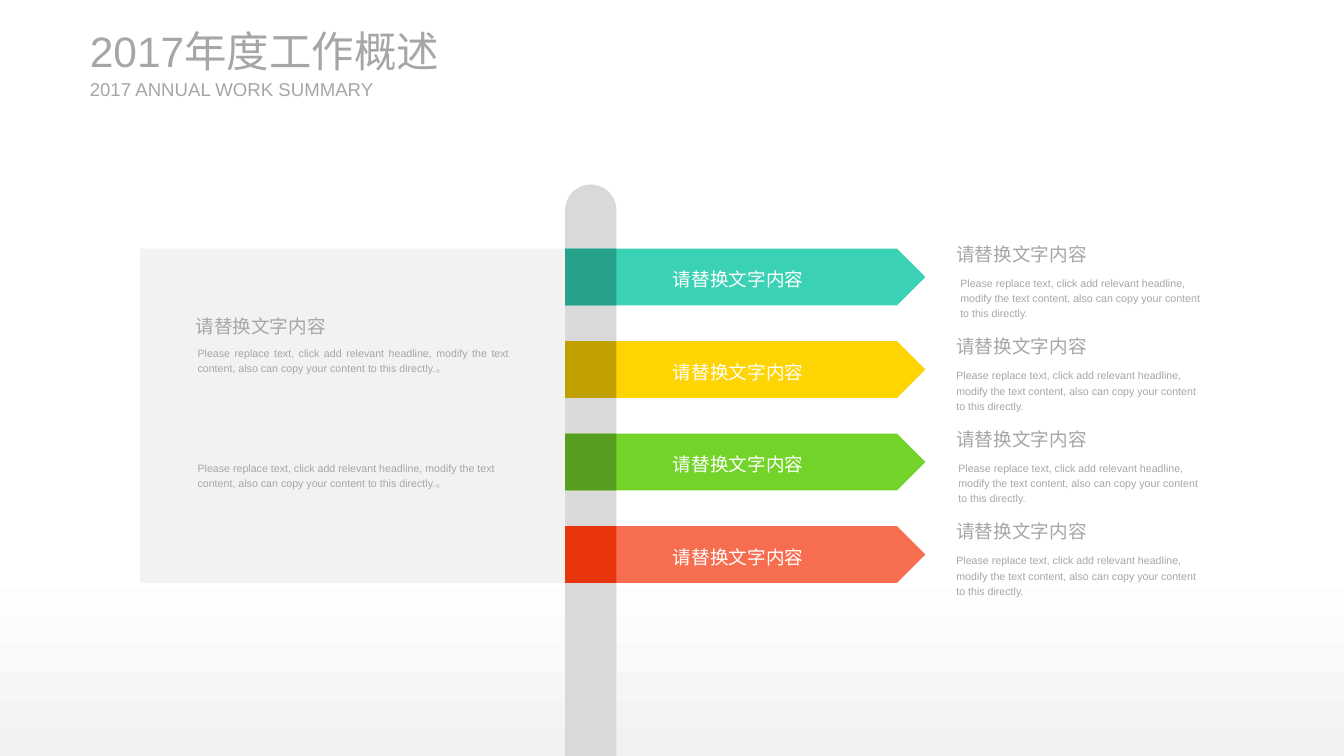
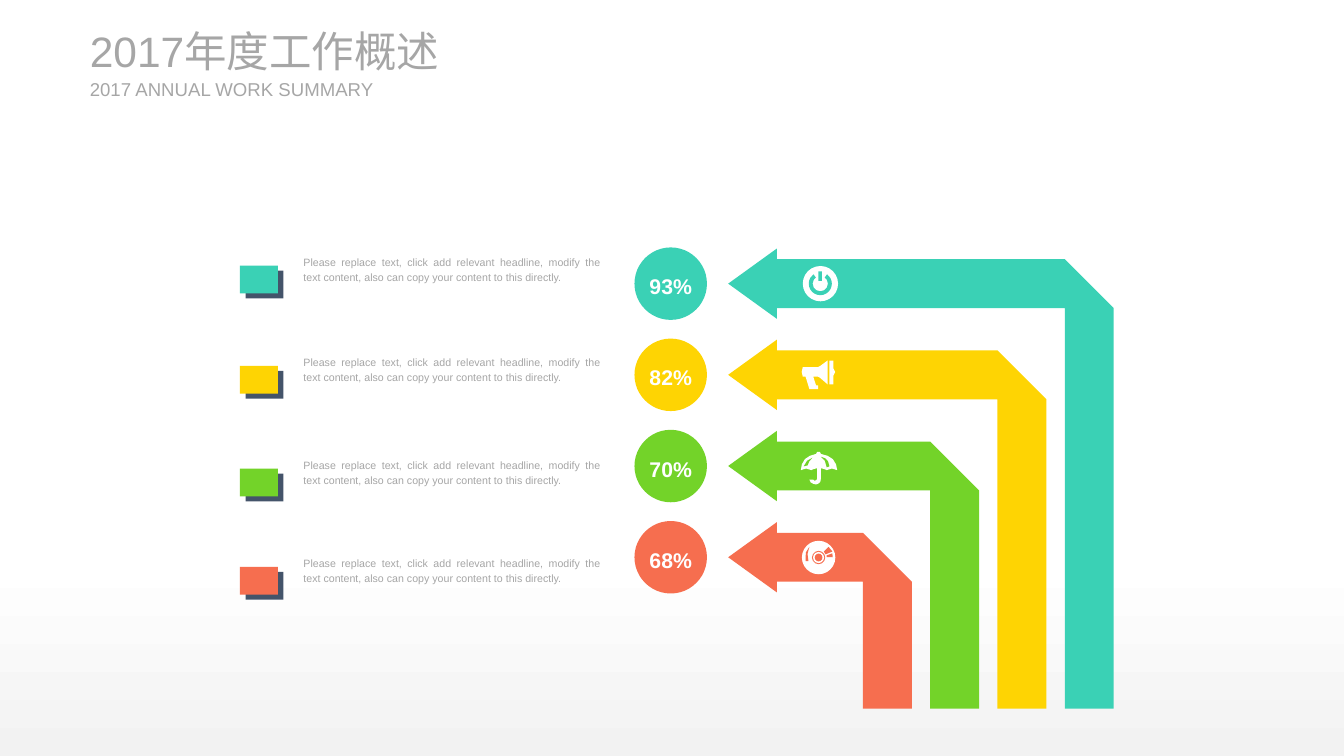
from dataclasses import dataclass

from pptx import Presentation
from pptx.dml.color import RGBColor
from pptx.enum.shapes import MSO_SHAPE as Kind
from pptx.enum.text import MSO_ANCHOR as Anchor, MSO_AUTO_SIZE as Auto, PP_ALIGN as Align
from pptx.util import Pt


@dataclass(frozen=True)
class Theme:
    font: str = "Arial"
    white: str = "FFFFFF"
    gray: str = "A6A6A6"
    pale: str = "F2F2F2"
    pole: str = "D9D9D9"
    navy: str = "44546A"
    hues: tuple = ("3AD1B5", "FED403", "73D329", "F66E4F")
    darks: tuple = ("26A28B", "C0A001", "569E1F", "E8350C")
    title: int = 32
    value: int = 16
    head: int = 14
    body: int = 8


look = Theme()


def paint(shape, fill):
    shape.shadow.inherit = False
    shape.fill.solid()
    shape.fill.fore_color.rgb = RGBColor.from_string(fill)
    shape.line.fill.background()
    return shape


def write(shape, text, size, color=look.gray, align=Align.LEFT, bold=False,
          lead=1.2, anchor=Anchor.TOP, inset=None, wrap=True):
    """Put one formatted paragraph in a shape; inset replaces all four margins."""
    frame = shape.text_frame
    frame.text = text
    frame.word_wrap = wrap
    frame.auto_size = Auto.NONE
    frame.vertical_anchor = anchor
    if inset is not None:
        frame.margin_left = frame.margin_right = Pt(inset)
        frame.margin_top = frame.margin_bottom = Pt(inset)
    para = frame.paragraphs[0]
    para.alignment = align
    para.line_spacing = lead
    font = para.runs[0].font
    font.name, font.size, font.bold = look.font, Pt(size), bold
    font.color.rgb = RGBColor.from_string(color)


HEAD = "请替换文字内容"
BODY = ("Please replace text, click add relevant headline, modify the text content, "
        "also can copy your content to this directly.")

# Shared background and titles
deck = Presentation()
deck.slide_width, deck.slide_height = Pt(1012.5), Pt(569.5)
back = deck.slide_master.background.fill
back.gradient()
back.gradient_angle = 90
for stop, color, place in zip(back.gradient_stops, (look.pale, look.white), (0, 0.26)):
    stop.color.rgb = RGBColor.from_string(color)
    stop.position = place

for _ in range(2):
    slide = deck.slides.add_slide(deck.slide_layouts[5])
    title = slide.shapes.title
    title.left, title.top, title.width, title.height = map(Pt, (67.7, 18.7, 311, 38.9))
    write(title, "2017年度工作概述", look.title, lead=1, anchor=Anchor.MIDDLE, inset=0)
    sub = slide.shapes.add_textbox(*map(Pt, (67.7, 58.3, 221, 17.3)))
    write(sub, "2017 ANNUAL WORK SUMMARY", look.head, lead=1, anchor=Anchor.MIDDLE, inset=0)

# Signpost slide
shapes = deck.slides[0].shapes
left, top, high, wide, step = 425.8, 187.3, 42.8, 38.6, 69.7
pole = paint(shapes.add_shape(Kind.ROUND_2_SAME_RECTANGLE,
                              *map(Pt, (left, 139, wide, 430.5))), look.pole)
pole.adjustments[0] = 0.5
paint(shapes.add_shape(Kind.RECTANGLE, *map(Pt, (105.6, top, left - 105.6, 252))), look.pale)

for row, (hue, dark, shift) in enumerate(zip(look.hues, look.darks, (3, 0, 1.5, 0))):
    y = top + row * step
    sign = paint(shapes.add_shape(Kind.PENTAGON, *map(Pt, (left, y, 271.4, high))), hue)
    write(sign, HEAD, look.head, look.white, Align.CENTER, anchor=Anchor.MIDDLE)
    paint(shapes.add_shape(Kind.RECTANGLE, *map(Pt, (left, y, wide, high))), dark)
    head = shapes.add_textbox(*map(Pt, (713.4, y - 11.5, 117, 26)))
    write(head, HEAD, look.head, wrap=False)
    note = shapes.add_textbox(*map(Pt, (713.4 + shift, y + 15.8, 196.6, 41)))
    write(note, BODY, look.body)

head = shapes.add_textbox(*map(Pt, (140.2, 230.2, 121, 26)))
write(head, HEAD, look.head)
for y, align in ((255.8, Align.JUSTIFY), (342.5, Align.LEFT)):
    note = shapes.add_textbox(*map(Pt, (141.8, y, 249.1, 29.5)))
    write(note, BODY + "。", look.body, align=align)

# Arrow slide: icon parts are (kind, box or points, colour, adjustments),
# placed relative to the icon centre of their row
shapes = deck.slides[1].shapes
teal, gold, green, coral = look.hues
white = look.white
power = [
    (Kind.OVAL, (-12.2, -13.3, 26.6, 26.6), white, ()),
    (Kind.BLOCK_ARC, (-7.7, -8.7, 17.4, 17.4), teal, (183.6, 140.4, 0.17)),
    (Kind.RECTANGLE, (-0.4, -9.3, 2.6, 7.2), teal, ()),
]
horn = [
    (None, [(-12.2, -5.8), (-0.7, -5.8), (0.7, -6.5), (6.5, -10.8), (6.5, 7.2),
            (0.7, 2.2), (-0.7, 1.4), (-4.3, 1.4), (-2.2, 7.9), (-0.7, 7.9),
            (-0.7, 10.8), (-7.2, 10.8), (-10.1, 1.4), (-12.2, 1.4), (-13, -2.2)], white, ()),
    (None, [(7.9, -10.8), (10.8, -10.8), (10.8, -5), (12.2, -2.2), (10.8, 0.7),
            (10.8, 7.2), (7.9, 7.2)], white, ()),
    (None, [(-2.9, 2.2), (-0.7, 2.2), (-1.4, 4.3), (-1.4, 5.8), (-2.2, 5.8)], gold, ()),
]
shade = [
    (None, [(-13.7, 3.1), (-12.9, -1.3), (-10.6, -5.2), (-6.9, -7.7), (-2.2, -9.1),
            (-1.4, -10.6), (0.7, -10.6), (1.4, -9.1), (6.5, -7.7), (10.4, -5.2),
            (12.8, -1.3), (13.7, 3.1), (9.7, 1.9), (5.8, 3.1), (3.8, 2.2), (1.4, 1.7),
            (1.4, 9.6), (1, 12), (-0.7, 13.4), (-2.2, 13.9), (-4.3, 13.4), (-6.3, 12.3),
            (-7.2, 10.3), (-4.3, 10.3), (-3.6, 11), (-2.9, 11), (-2, 10.6), (-1.4, 9.6),
            (-1.4, 1.7), (-3.8, 2.2), (-5.8, 3.1), (-9.7, 1.9)], white, ()),
    (None, [(5.8, 0.9), (7.9, 0.2), (6.8, -3.6), (4.6, -5.9), (1.4, -7), (4.4, -4)], green, ()),
    (None, [(-11.5, 0.2), (-8.6, -0.5), (-7.4, -3.4), (-5, -6.3), (-9, -4)], green, ()),
]
disc = [(Kind.OVAL, (-0.3 - r, 0.2 - r, 2 * r, 2 * r), color, ())
        for r, color in ((12.6, white), (5, coral), (4.2, white), (2.9, coral))]
disc += [(None, spots, coral, ()) for spots in (
    [(-7.2, -7.9), (-9.9, -3.6), (-10.1, 2.9), (-7.9, 2.9), (-8.6, -2.5)],
    [(3.6, -4.3), (5, -2.2), (10.1, -4.3), (7.2, -7.9)],
    [(10.1, -2.9), (5.8, -1.4), (5.8, 0), (10.4, 0)],
)]

mid, core, base, bar = 617, 213.7, 533.8, 36.8
rows = zip(look.hues, ("93%", "82%", "70%", "68%"), (power, horn, shade, disc),
           (200.1, 275.6, 353, 427))
for row, (hue, value, icon, chip) in enumerate(rows):
    y = core + row * 68.7
    ball = paint(shapes.add_shape(Kind.OVAL, *map(Pt, (478, y - 27.3, 54.6, 54.6))), hue)
    write(ball, value, look.value, white, Align.CENTER, True,
          anchor=Anchor.MIDDLE, inset=0, wrap=False)

    tip, neck, half = 548.6 - mid, 585.3 - mid, bar / 2
    right, foot = 839 - row * 50.7 - mid, base - y
    arrow = [(tip, 0), (neck, -26.5), (neck, -half), (right - bar, -half), (right, half),
             (right, foot), (right - bar, foot), (right - bar, half), (neck, half),
             (neck, 26.5)]
    for kind, spots, color, bends in [(None, arrow, hue, ()), *icon]:
        if kind is None:
            ends = [(Pt(mid + dx), Pt(y + dy)) for dx, dy in spots]
            pen = shapes.build_freeform(*ends[0], scale=1.0)
            pen.add_line_segments(ends[1:], close=True)
            part = pen.convert_to_shape()
        else:
            dx, dy, w, h = spots
            part = shapes.add_shape(kind, *map(Pt, (mid + dx, y + dy, w, h)))
            for spot, bend in enumerate(bends):
                part.adjustments[spot] = bend
        paint(part, color)

    for shift, color in ((4.2, look.navy), (0, hue)):
        paint(shapes.add_shape(Kind.RECTANGLE,
                               *map(Pt, (180.8 + shift, chip + shift * 0.9, 28.5, 21))), color)
    note = shapes.add_textbox(*map(Pt, (221.5, chip - 12.8, 238.3, 29.5)))
    write(note, BODY, look.body, align=Align.JUSTIFY)

deck.save("out.pptx")
